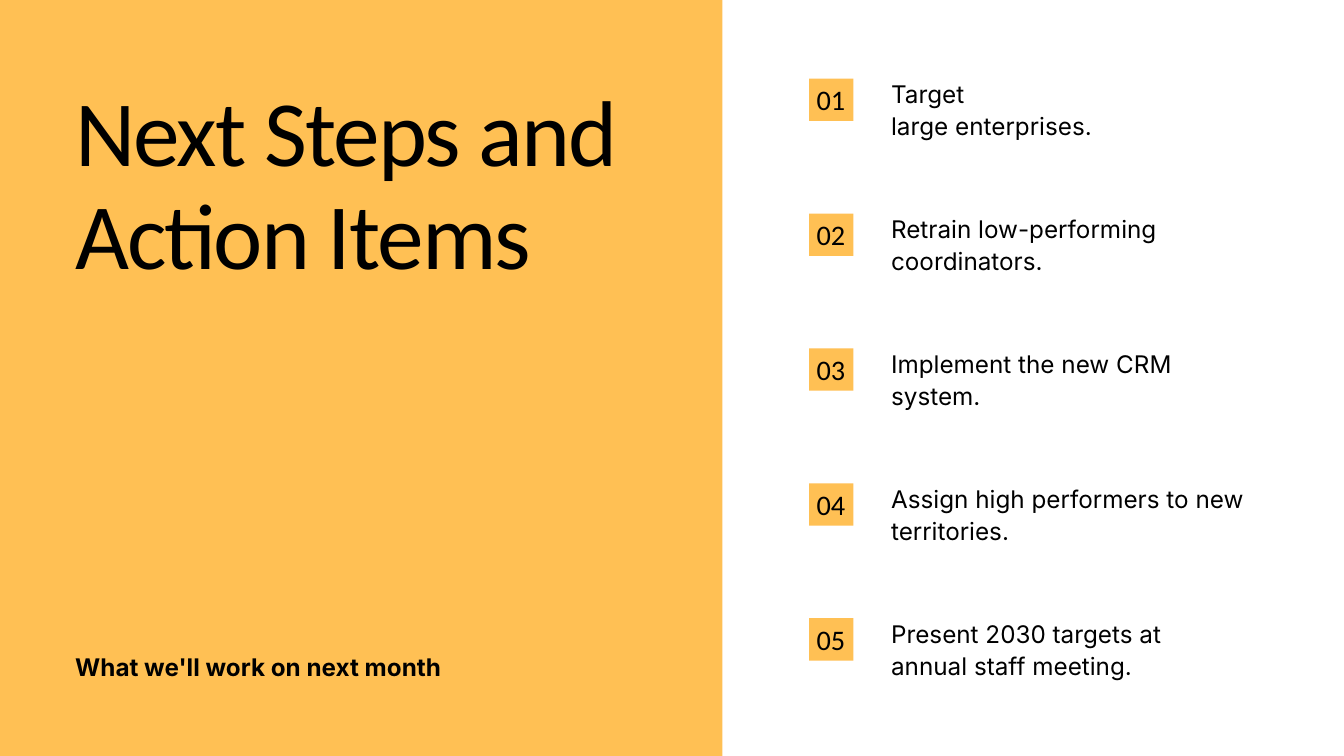
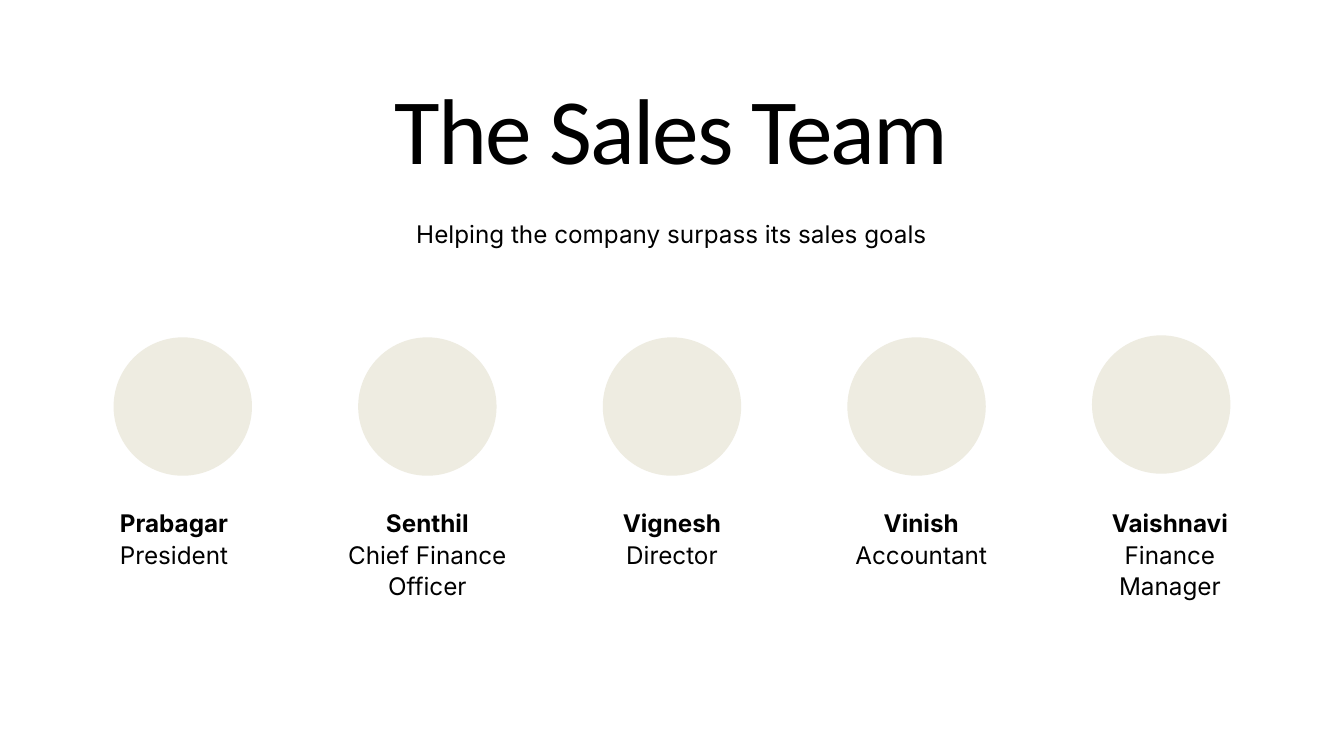
from dataclasses import dataclass

from pptx import Presentation
from pptx.dml.color import RGBColor
from pptx.enum.shapes import MSO_SHAPE
from pptx.enum.text import MSO_AUTO_SIZE, PP_ALIGN
from pptx.util import Inches, Pt

RECTANGLE, OVAL = MSO_SHAPE.RECTANGLE, MSO_SHAPE.OVAL
LEFT, CENTER = PP_ALIGN.LEFT, PP_ALIGN.CENTER
FIT_SHAPE = MSO_AUTO_SIZE.SHAPE_TO_FIT_TEXT


@dataclass(frozen=True)
class Theme:
    ink: RGBColor = RGBColor(0x00, 0x00, 0x00)
    paper: RGBColor = RGBColor(0xFF, 0xFF, 0xFF)
    accent: RGBColor = RGBColor(0xFF, 0xC0, 0x54)
    portrait: RGBColor = RGBColor(0xEE, 0xEC, 0xE1)


@dataclass(frozen=True)
class TextStyle:
    font: dict
    leading: float
    tracking: float = 0


THEME = Theme()
TITLE = TextStyle({"name": "Calibri", "size": Pt(100), "bold": False}, 110, -2)
NUMBER = TextStyle({"name": "Calibri", "size": Pt(30.3), "bold": False}, 36.4)
BODY = TextStyle({"name": "Inter", "size": Pt(26), "bold": False}, 33.8)
STRONG = TextStyle({"name": "Inter", "size": Pt(26), "bold": True}, 33.8)

SLIDE_W, SLIDE_H = 20, 11.25

STEPS = [
    ["Target", "large enterprises."],
    ["Retrain low-performing coordinators."],
    ["Implement the new CRM system."],
    ["Assign high performers to new territories."],
    ["Present 2030 targets at", "annual staff meeting."],
]

# Name, role, caption offset from the portrait centre, caption width, portrait lift
TEAM = [
    ("Prabagar", "President", -0.13, 2.92, 0),
    ("Senthil", "Chief Finance Officer", 0, 3.46, 0),
    ("Vignesh", "Director", 0, 2.92, 0),
    ("Vinish", "Accountant", 0.07, 2.92, 0),
    ("Vaishnavi", "Finance Manager", 0.13, 2.92, 0.03),
]


def place(box):
    return [Inches(length) for length in box]


def add_filled(slide, preset, box, color):
    shape = slide.shapes.add_shape(preset, *place(box))
    shape.shadow.inherit = False
    shape.fill.solid()
    shape.fill.fore_color.rgb = color
    shape.line.fill.background()


def add_text(slide, box, lines, align=LEFT):
    """Write (text, style) pairs, one paragraph each, in a box without margins."""
    frame = slide.shapes.add_textbox(*place(box)).text_frame
    frame_format = {
        "margin_left": 0, "margin_top": 0, "margin_right": 0, "margin_bottom": 0,
        "word_wrap": True, "auto_size": FIT_SHAPE,
    }
    for key, value in frame_format.items():
        setattr(frame, key, value)
    for index, (text, style) in enumerate(lines):
        paragraph = frame.add_paragraph() if index else frame.paragraphs[0]
        paragraph.alignment = align
        paragraph.line_spacing = Pt(style.leading)
        run = paragraph.add_run()
        run.text = text
        for key, value in style.font.items():
            setattr(run.font, key, value)
        run.font.color.rgb = THEME.ink
        if style.tracking:
            run._r.get_or_add_rPr().set("spc", str(style.tracking * 100))


def add_blank_slide(deck):
    slide = deck.slides.add_slide(deck.slide_layouts[6])
    slide.background.fill.solid()
    slide.background.fill.fore_color.rgb = THEME.paper
    return slide


def add_title_panel(slide, box, title, subtitle):
    left, top, width, height = box
    add_filled(slide, RECTANGLE, box, THEME.accent)
    add_text(slide, (left + 1.12, top + 1.23, width - 2.31, 4.6), [(title, TITLE)])
    add_text(slide, (left + 1.12, top + height - 1.58, 7.16, 0.45),
             [(subtitle, STRONG)])


def add_step_list(slide, box, steps):
    """Spread the numbered steps evenly over the height of the box."""
    left, top, width, height = box
    badge_w, badge_h, text_indent = 0.66, 0.63, 1.22
    pitch = (height - badge_h) / (len(steps) - 1)
    for index, lines in enumerate(steps):
        step_top = top + index * pitch
        add_filled(slide, RECTANGLE, (left, step_top, badge_w, badge_h), THEME.accent)
        add_text(slide, (left + 0.05, step_top + 0.06, 0.55, 0.5),
                 [(f"{index + 1:02}", NUMBER)], CENTER)
        add_text(slide, (left + text_indent, step_top - 0.02, width - text_indent, 0.91),
                 [(line, BODY) for line in lines])


def add_heading(slide, box, title, subtitle):
    left, top, width, height = box
    add_text(slide, (left, top, width, 1.58), [(title, TITLE)], CENTER)
    add_text(slide, (left + 1.02, top + height - 0.45, width - 2.04, 0.45),
             [(subtitle, BODY)], CENTER)


def add_team_row(slide, box, team):
    """Place the portraits from edge to edge of the box, captions below."""
    left, top, width, height = box
    diameter, caption_drop = 2.06, 2.51
    pitch = (width - diameter) / (len(team) - 1)
    for index, (name, role, offset, caption_w, lift) in enumerate(team):
        portrait_left = left + index * pitch
        add_filled(slide, OVAL, (portrait_left, top - lift, diameter, diameter),
                   THEME.portrait)
        caption_left = portrait_left + diameter / 2 + offset - caption_w / 2
        add_text(slide, (caption_left, top + caption_drop, caption_w, height - caption_drop),
                 [(name, STRONG), (role, BODY)], CENTER)


def build_next_steps(deck):
    slide = add_blank_slide(deck)
    add_title_panel(slide, (0, 0, 10.75, SLIDE_H),
                    "Next Steps and Action Items", "What we'll work on next month")
    add_step_list(slide, (12.04, 1.17, 6.83, 8.66), STEPS)


def build_sales_team(deck):
    slide = add_blank_slide(deck)
    add_heading(slide, (3.28, 1.2, 13.43, 2.47),
                "The Sales Team", "Helping the company surpass its sales goals")
    add_team_row(slide, (1.69, 5.02, 16.62, 3.9), TEAM)


def main():
    deck = Presentation()
    deck.slide_width, deck.slide_height = Inches(SLIDE_W), Inches(SLIDE_H)
    build_next_steps(deck)
    build_sales_team(deck)
    deck.save("out.pptx")


if __name__ == "__main__":
    main()
